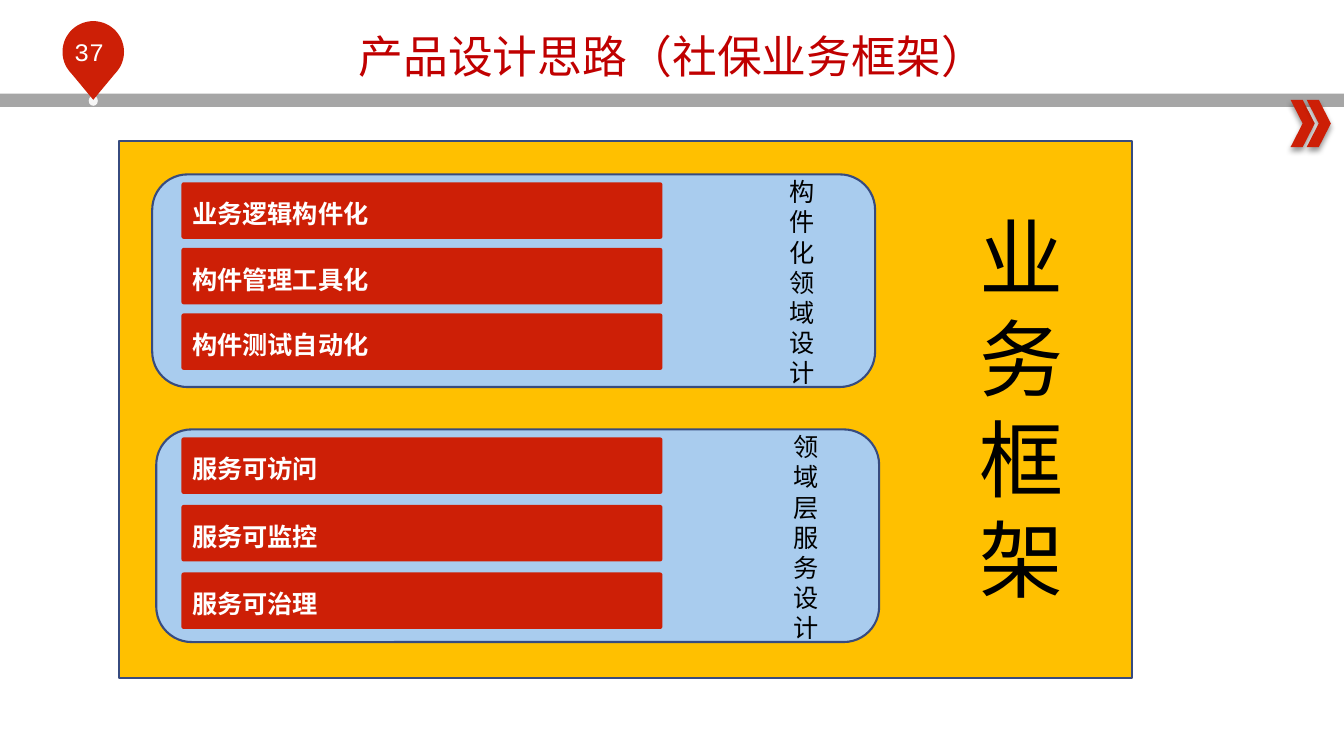
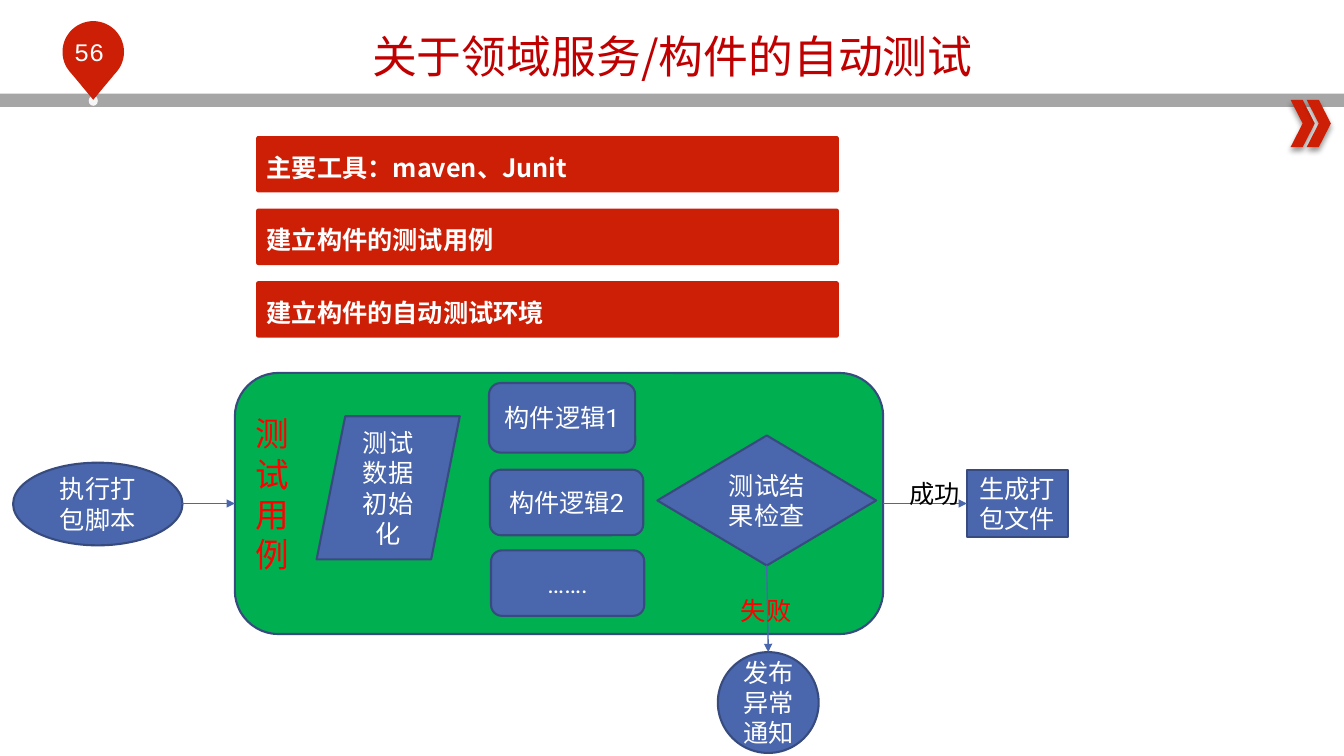
from math import cos, radians, sin

from lxml.etree import SubElement
from pptx import Presentation
from pptx.dml.color import RGBColor
from pptx.enum.shapes import MSO_CONNECTOR, MSO_SHAPE
from pptx.enum.text import MSO_ANCHOR, PP_ALIGN
from pptx.oxml.ns import qn
from pptx.util import Pt

PX = 9144
SLIDE_WIDTH, SLIDE_HEIGHT = 1333, 750

WHITE = RGBColor(0xFF, 0xFF, 0xFF)
BLACK = RGBColor(0x00, 0x00, 0x00)
GREY = RGBColor(0xA6, 0xA6, 0xA6)
PALE_GREY = RGBColor(0xF6, 0xF6, 0xF6)
ACCENT_RED = RGBColor(0xCD, 0x1F, 0x06)
TITLE_RED = RGBColor(0xC0, 0x00, 0x00)
BRIGHT_RED = RGBColor(0xFF, 0x00, 0x00)
GOLD = RGBColor(0xFF, 0xC0, 0x00)
LIGHT_BLUE = RGBColor(0xA9, 0xCC, 0xEE)
BLUE = RGBColor(0x4A, 0x66, 0xAC)
DARK_BLUE = RGBColor(0x37, 0x4B, 0x7F)
GREEN = RGBColor(0x00, 0xB0, 0x50)

HEADING_FONT = "Noto Sans CJK SC"
BODY_FONT = "Roboto"
NUMBER_FONT = "Courier New"


def emu(*lengths):
    return [round(length * PX) for length in lengths]


def write(shape, text, size, color, font=BODY_FONT, bold=False,
          align=PP_ALIGN.LEFT, anchor=MSO_ANCHOR.TOP, wrap=True, spacing=None):
    frame = shape.text_frame
    frame.text = text
    frame.word_wrap = wrap
    frame.vertical_anchor = anchor
    for paragraph in frame.paragraphs:
        paragraph.alignment = align
        paragraph.line_spacing = spacing
        for run in paragraph.runs:
            run.font.size = Pt(size)
            run.font.bold = bold
            run.font.color.rgb = color
            run.font.name = font
            properties = run._r.get_or_add_rPr()
            SubElement(properties, qn("a:ea")).set("typeface", font)


def add_text(slide, box, text, size, color, **style):
    shape = slide.shapes.add_textbox(*emu(*box))
    write(shape, text, size, color, **style)
    return shape


def paint(shape, fill, line=None):
    shape.shadow.inherit = False
    shape.fill.solid()
    shape.fill.fore_color.rgb = fill
    if line is None:
        shape.line.fill.background()
    else:
        shape.line.color.rgb = line
        shape.line.width = Pt(1.5)


def add_block(slide, kind, box, fill, line=None):
    shape = slide.shapes.add_shape(kind, *emu(*box))
    paint(shape, fill, line)
    return shape


def add_node(slide, kind, box, text):
    node = add_block(slide, kind, box, BLUE, DARK_BLUE)
    write(node, text, 18, WHITE, align=PP_ALIGN.CENTER, anchor=MSO_ANCHOR.MIDDLE)
    return node


def add_arrow(slide, start, end):
    arrow = slide.shapes.add_connector(MSO_CONNECTOR.STRAIGHT, *emu(*start, *end))
    arrow.line.color.rgb = BLUE
    arrow.line.width = Pt(1)
    SubElement(arrow.line._get_or_add_ln(), qn("a:tailEnd")).set("type", "triangle")
    SubElement(arrow._element.spPr, qn("a:effectLst"))
    return arrow


def add_soft_shadow(shape):
    effects = shape._element.spPr.find(qn("a:effectLst"))
    shadow = SubElement(effects, qn("a:outerShdw"), blurRad="50800", dist="38100",
                        dir="5400000", algn="t", rotWithShape="0")
    color = SubElement(shadow, qn("a:srgbClr"), val="000000")
    SubElement(color, qn("a:alpha"), val="40000")


def add_pin(slide, box, number):
    left, top, width, height = box
    radius = width / 2
    center_x, center_y = left + radius, top + radius
    arc = [emu(center_x + radius * cos(radians(angle)),
               center_y + radius * sin(radians(angle)))
           for angle in range(135, 406, 5)]
    builder = slide.shapes.build_freeform(*emu(center_x, top + height))
    builder.add_line_segments(arc, close=True)
    paint(builder.convert_to_shape(), ACCENT_RED)
    add_text(slide, (left - 17, top + 10, 87, 40), number, 18, WHITE,
             font=NUMBER_FONT, align=PP_ALIGN.CENTER)


def add_header(slide, title, number):
    add_block(slide, MSO_SHAPE.RECTANGLE, (0, 93, SLIDE_WIDTH, 13), GREY)
    for left in (1280, 1296):
        chevron = add_block(slide, MSO_SHAPE.CHEVRON, (left, 99, 24, 47), ACCENT_RED)
        add_soft_shadow(chevron)
    add_block(slide, MSO_SHAPE.OVAL, (88, 95, 9, 10), PALE_GREY)
    add_pin(slide, (62, 21, 61, 78), number)
    add_text(slide, (67, 30, 1200, 51), title, 32, TITLE_RED, font=HEADING_FONT,
             align=PP_ALIGN.CENTER, spacing=0.9)


def add_bars(slide, left, top, width, pitch, labels):
    for index, label in enumerate(labels):
        bar = add_block(slide, MSO_SHAPE.ROUNDED_RECTANGLE,
                        (left, top + index * pitch, width, 56), ACCENT_RED)
        bar.adjustments[0] = 0.04
        write(bar, label, 18, WHITE, font=HEADING_FONT, bold=True,
              anchor=MSO_ANCHOR.MIDDLE)
        bar.text_frame.margin_top, bar.text_frame.margin_bottom = emu(10, 4)


def add_domain(slide, box, bar_inset, pitch, labels, caption):
    left, top, width, height = box
    add_block(slide, MSO_SHAPE.ROUNDED_RECTANGLE, box, LIGHT_BLUE, DARK_BLUE)
    add_bars(slide, left + bar_inset, top + 8, 477, pitch, labels)
    add_text(slide, (left + 622, top - 3, 48, 222), caption, 18, BLACK)


def add_framework(slide, box):
    left, top, width, height = box
    add_block(slide, MSO_SHAPE.RECTANGLE, box, GOLD, DARK_BLUE)
    add_domain(slide, (left + 33, top + 33, 717, 211), 29, 65,
               ("业务逻辑构件化", "构件管理工具化", "构件测试自动化"), "构件化领域设计")
    add_domain(slide, (left + 37, top + 286, 717, 211), 25, 67,
               ("服务可访问", "服务可监控", "服务可治理"), "领域层\n服务设计")
    add_text(slide, (left + 844, top + 59, 133, 414), "业务框架", 60, BLACK)


def add_test_flow(slide, box):
    left, top, width, height = box
    middle = top + height / 2
    script = (left - 220, top + 89, 168, 82)
    add_node(slide, MSO_SHAPE.OVAL, script, "执行打包脚本")
    panel = add_block(slide, MSO_SHAPE.ROUNDED_RECTANGLE, box, GREEN, DARK_BLUE)
    add_text(slide, (left + 11, top + 35, 49, 172), "测试用例", 24, BRIGHT_RED)
    add_node(slide, MSO_SHAPE.FLOWCHART_DATA, (left + 81, top + 43, 142, 142),
             "测试数据初始化")
    for x, y, node_width, node_height, text in (
            (252, 10, 145, 69, "构件逻辑1"),
            (253, 96, 152, 65, "构件逻辑2"),
            (254, 176, 152, 65, "…….")):
        add_node(slide, MSO_SHAPE.ROUNDED_RECTANGLE,
                 (left + x, top + y, node_width, node_height), text)
    check = add_node(slide, MSO_SHAPE.FLOWCHART_DECISION,
                     (left + 419, top + 62, 217, 129), "测试结果检查")
    package = add_node(slide, MSO_SHAPE.FLOWCHART_PROCESS,
                       (left + 726, top + 96, 100, 67), "生成打包文件")
    notice = add_node(slide, MSO_SHAPE.OVAL, (left + 479, top + 277, 100, 100),
                      "发布异常通知")

    start = add_arrow(slide, (script[0] + script[2], middle), (left, middle))
    start.end_connect(panel, 1)
    success = add_arrow(slide, (left + width, middle), (left + 726, middle))
    success.begin_connect(panel, 3)
    success.end_connect(package, 1)
    failure = add_arrow(slide, (left + 527, top + 191), (left + 529, top + 277))
    failure.begin_connect(check, 2)
    failure.end_connect(notice, 0)
    add_text(slide, (left + 659, top + 100, 71, 40), "成功", 18, BLACK, wrap=False)
    add_text(slide, (left + 492, top + 216, 71, 40), "失败", 18, BRIGHT_RED, wrap=False)


def build_framework_slide(slide):
    add_header(slide, "产品设计思路（社保业务框架）", "37")
    add_framework(slide, (118, 140, 1005, 533))


def build_testing_slide(slide):
    add_header(slide, "关于领域服务/构件的自动测试", "56")
    add_bars(slide, 254, 135, 578, 72,
             ("主要工具：maven、Junit", "建立构件的测试用例", "建立构件的自动测试环境"))
    add_test_flow(slide, (233, 370, 643, 259))


def main():
    presentation = Presentation()
    presentation.slide_width, presentation.slide_height = emu(SLIDE_WIDTH, SLIDE_HEIGHT)
    for build in (build_framework_slide, build_testing_slide):
        build(presentation.slides.add_slide(presentation.slide_layouts[6]))
    presentation.save("out.pptx")


if __name__ == "__main__":
    main()
